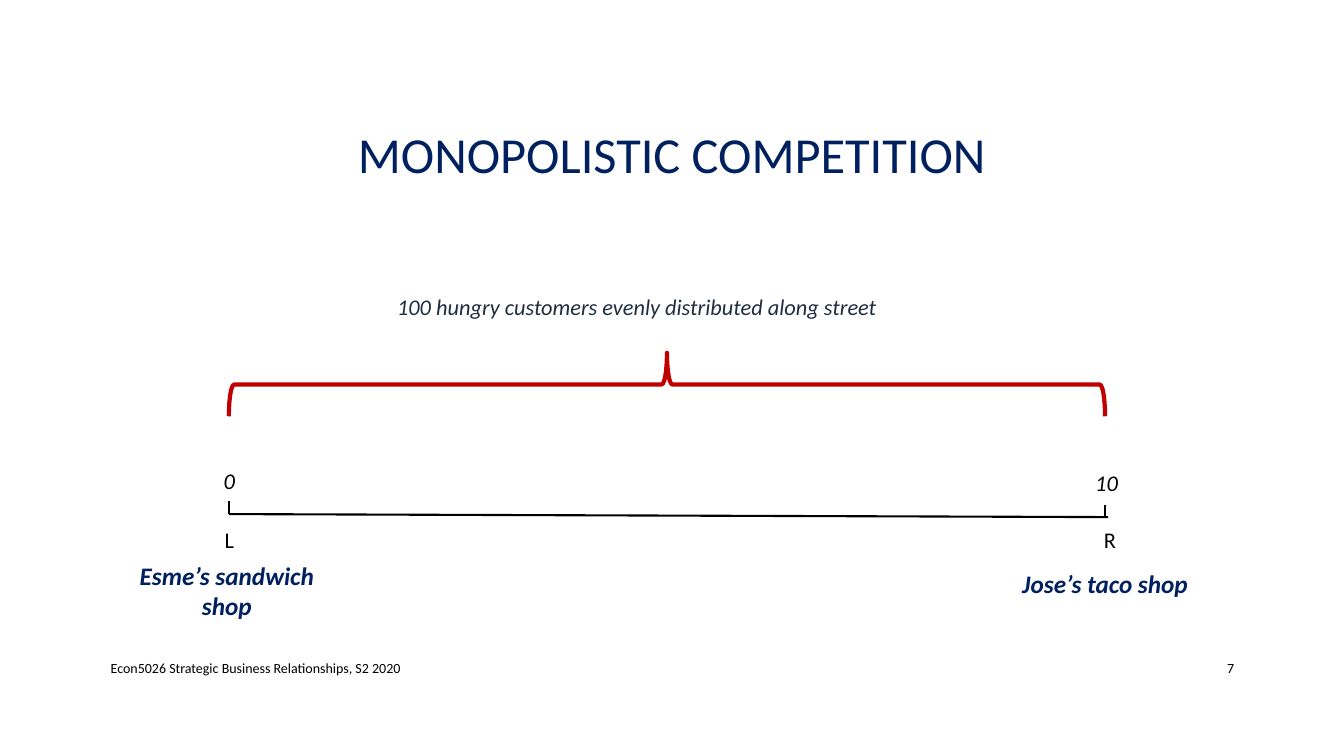
from lxml import etree
from pptx import Presentation
from pptx.dml.color import RGBColor
from pptx.enum.shapes import MSO_CONNECTOR as LINE, MSO_SHAPE as SHAPE
from pptx.enum.text import MSO_ANCHOR as ANCHOR, PP_ALIGN as ALIGN
from pptx.oxml.ns import qn
from pptx.util import Inches, Pt

NAVY, SLATE, BLACK, RED = "002060", "1F2E41", "000000", "C00000"
LEFT, MID, RIGHT = ALIGN.LEFT, ALIGN.CENTER, ALIGN.RIGHT
TOP, CENTER = ANCHOR.TOP, ANCHOR.MIDDLE

# text, (left, top, width, height), size, colour, style, align, anchor
TEXTS = [
    ("MONOPOLISTIC COMPETITION", (1, 0.68, 11.33, 1.75), 36, NAVY, "", MID, CENTER),
    ("100 hungry customers evenly distributed along street",
     (3.84, 2.86, 5.58, 0.37), 16, SLATE, "i", LEFT, TOP),
    ("0", (2.05, 4.59, 0.45, 0.37), 16, BLACK, "i", MID, TOP),
    ("10", (10.74, 4.61, 0.47, 0.37), 16, BLACK, "i", MID, TOP),
    ("L", (2.13, 5.17, 0.28, 0.37), 16, BLACK, "", LEFT, TOP),
    ("R", (10.85, 5.17, 0.43, 0.37), 16, BLACK, "", LEFT, TOP),
    ("Esme’s sandwich shop", (1.18, 5.51, 2.14, 0.71), 18, NAVY, "bi", MID, TOP),
    ("Jose’s taco shop", (9.89, 5.59, 2.14, 0.4), 18, NAVY, "bi", MID, TOP),
    ("Econ5026 Strategic Business Relationships, S2 2020",
     (1, 6.43, 7.3, 0.4), 10, BLACK, "", LEFT, CENTER),
    ("7", (11.5, 6.43, 0.84, 0.4), 10, BLACK, "", RIGHT, CENTER),
]

# The street, then the tick at each end: x1, y1, x2, y2
LINES = [
    (10.99, 5.13, 2.27, 5.1),
    (2.27, 4.97, 2.27, 5.1),
    (10.96, 5.01, 10.96, 5.14),
]
BRACE = (6.3, -0.53, 0.63, 8.69)


def color(code):
    return RGBColor.from_string(code)


def add_text(slide, text, box, size, code, style, align, anchor):
    frame = slide.shapes.add_textbox(*map(Inches, box)).text_frame
    frame.word_wrap = True
    frame.vertical_anchor = anchor
    frame.text = text
    para = frame.paragraphs[0]
    para.alignment = align
    if size == 36:
        para.line_spacing = 0.9
    font = para.runs[0].font
    font.name, font.size = "Calibri", Pt(size)
    font.bold, font.italic = "b" in style, "i" in style
    font.color.rgb = color(code)


def add_line(slide, ends):
    line = slide.shapes.add_connector(LINE.STRAIGHT, *map(Inches, ends))
    line.line.color.rgb = color(BLACK)
    line.line.width = Pt(1.5)
    etree.SubElement(line._element.spPr, qn("a:effectLst"))


def add_brace(slide):
    brace = slide.shapes.add_shape(SHAPE.LEFT_BRACE, *map(Inches, BRACE))
    brace.rotation = 90
    brace.shadow.inherit = False
    brace.fill.background()
    brace.line.color.rgb = color(RED)
    brace.line.width = Pt(3)


def main():
    deck = Presentation()
    deck.slide_width, deck.slide_height = Inches(13.33), Inches(7.5)
    slide = deck.slides.add_slide(deck.slide_layouts[6])
    for ends in LINES:
        add_line(slide, ends)
    add_brace(slide)
    for item in TEXTS:
        add_text(slide, *item)
    deck.save("out.pptx")


if __name__ == "__main__":
    main()
